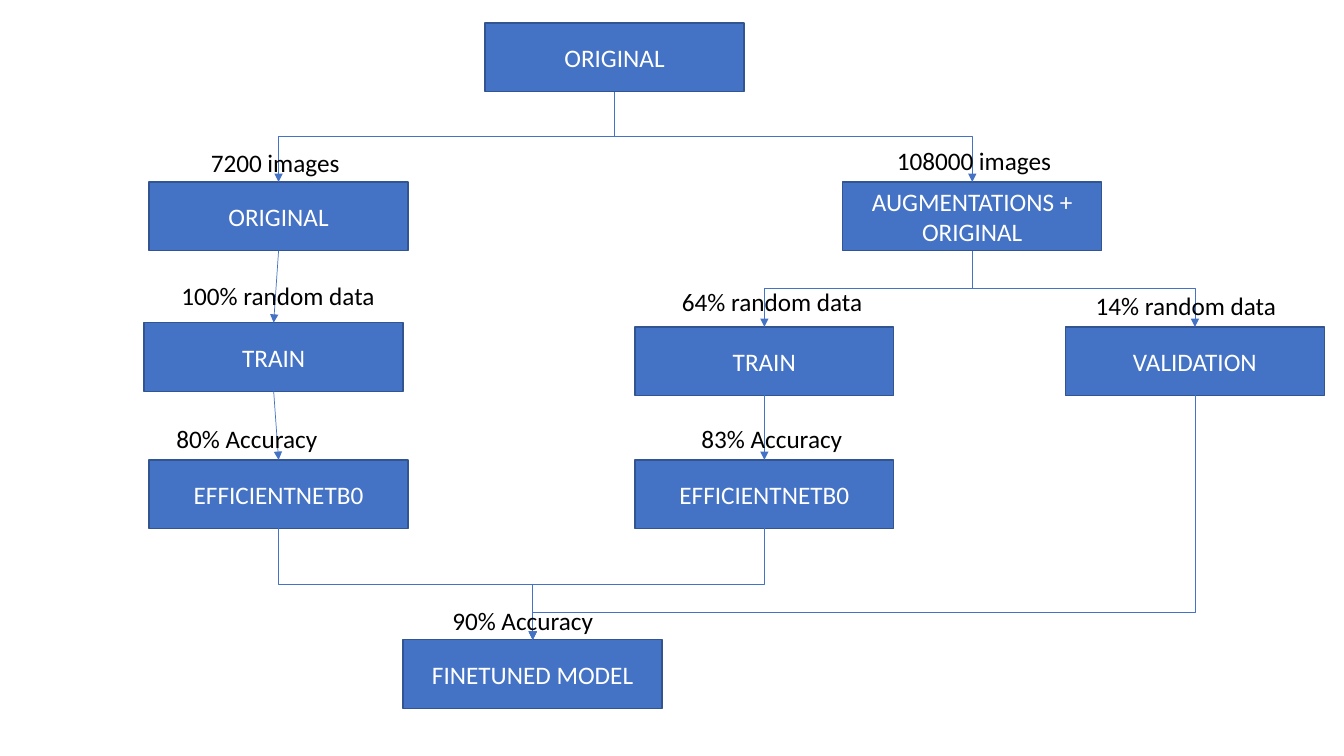
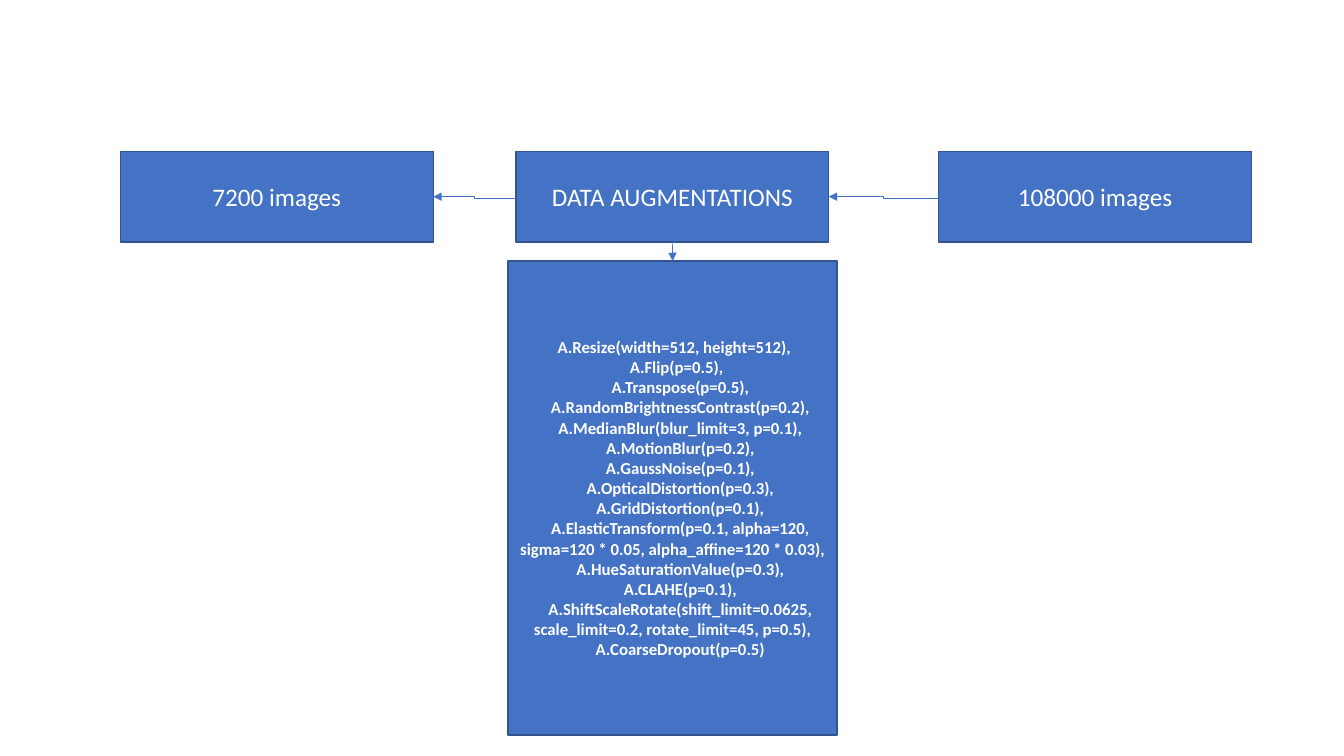
from lxml import etree
from pptx import Presentation
from pptx.dml.color import RGBColor
from pptx.enum.shapes import MSO_CONNECTOR as Kind, MSO_SHAPE as Form
from pptx.enum.text import MSO_ANCHOR as Anchor, MSO_AUTO_SIZE as Auto, PP_ALIGN as Align
from pptx.oxml.ns import qn
from pptx.util import Pt

BLUE, EDGE, WHITE, BLACK = "4472C4", "325491", "FFFFFF", "000000"
FONT = "Calibri"
TOP, LEFT, BOTTOM, RIGHT = range(4)
STEP = (185, 49)
STAGE = (223.5, 65)

STEPS = {
    "root": ("ORIGINAL", 346.5, 16.5),
    "plain": ("ORIGINAL", 106.5, 130),
    "mixed": ("AUGMENTATIONS + ORIGINAL", 602, 130),
    "train": ("TRAIN", 103, 230.5),
    "train mix": ("TRAIN", 453.5, 233.5),
    "check": ("VALIDATION", 761, 233.5),
    "net": ("EFFICIENTNETB0", 106.5, 328.5),
    "net mix": ("EFFICIENTNETB0", 453.5, 328.5),
    "final": ("FINETUNED MODEL", 288, 457),
}
BENDS = [
    ("root", "plain", 0.5),
    ("root", "mixed", 0.5),
    ("mixed", "train mix", 0.5),
    ("mixed", "check", 0.5),
    ("net", "final", 0.5),
    ("net mix", "final", 0.5),
    ("check", "final", 0.89),
]
DROPS = [("plain", "train"), ("train", "net"), ("train mix", "net mix")]
LABELS = [
    ("7200 images", 143.5, 102, 107),
    ("108000 images", 633.5, 100, 126),
    ("64% random data", 480, 201, 145),
    ("14% random data", 775.5, 203.5, 145),
    ("100% random data", 122.5, 197, 154),
    ("80% Accuracy", 119, 299, 116),
    ("83% Accuracy", 494, 299, 116),
    ("90% Accuracy", 316, 428.5, 116),
]
STAGES = [
    ("7200 images", 86),
    ("DATA AUGMENTATIONS", 368.5),
    ("108000 images", 670.5),
]
CALLS = [
    "A.Resize(width=512, height=512),",
    "A.Flip(p=0.5),",
    "A.Transpose(p=0.5),",
    "A.RandomBrightnessContrast(p=0.2),",
    "A.MedianBlur(blur_limit=3, p=0.1),",
    "A.MotionBlur(p=0.2),",
    "A.GaussNoise(p=0.1),",
    "A.OpticalDistortion(p=0.3),",
    "A.GridDistortion(p=0.1),",
    "A.ElasticTransform(p=0.1, alpha=120, sigma=120 * 0.05, alpha_affine=120 * 0.03),",
    "A.HueSaturationValue(p=0.3),",
    "A.CLAHE(p=0.1),",
    "A.ShiftScaleRotate(shift_limit=0.0625, scale_limit=0.2, rotate_limit=45, p=0.5),",
    "A.CoarseDropout(p=0.5)",
]
INDENTS = [2.5, 5.5] + [11] * (len(CALLS) - 2)


def color(code):
    return RGBColor.from_string(code)


def write(frame, lines, size=18, ink=WHITE, bold=False, align=Align.CENTER, indents=()):
    for i, line in enumerate(lines):
        para = frame.paragraphs[0] if i == 0 else frame.add_paragraph()
        para.alignment = align
        if indents:
            para._p.get_or_add_pPr().set("indent", str(Pt(indents[i])))
        run = para.add_run()
        run.text = line
        font = run.font
        font.name, font.size, font.bold = FONT, Pt(size), bold
        font.color.rgb = color(ink)


def box(slide, lines, x, y, area, **style):
    shape = slide.shapes.add_shape(Form.RECTANGLE, Pt(x), Pt(y), *map(Pt, area))
    shape.shadow.inherit = False
    shape.fill.solid()
    shape.fill.fore_color.rgb = color(BLUE)
    shape.line.color.rgb = color(EDGE)
    shape.line.width = Pt(1)
    frame = shape.text_frame
    frame.word_wrap = True
    frame.vertical_anchor = Anchor.MIDDLE
    write(frame, lines, **style)
    return shape


def label(slide, text, x, y, width):
    frame = slide.shapes.add_textbox(Pt(x), Pt(y), Pt(width), Pt(29)).text_frame
    frame.word_wrap = False
    frame.auto_size = Auto.SHAPE_TO_FIT_TEXT
    write(frame, [text], ink=BLACK, align=Align.LEFT)


def site(shape, side):
    x, y, w, h = shape.left, shape.top, shape.width, shape.height
    return [(x + w // 2, y), (x, y + h // 2), (x + w // 2, y + h), (x + w, y + h // 2)][side]


def arrow(slide, start, end, kind=Kind.STRAIGHT, sides=(BOTTOM, TOP), nudge=0):
    x, y = site(start, sides[0])
    line = slide.shapes.add_connector(kind, x, y + Pt(nudge), *site(end, sides[1]))
    if not nudge:
        line.begin_connect(start, sides[0])
        line.end_connect(end, sides[1])
    line.line.color.rgb = color(BLUE)
    line.line.width = Pt(0.5)
    etree.SubElement(line.line._get_or_add_ln(), qn("a:tailEnd"), type="triangle")
    etree.SubElement(line._element.spPr, qn("a:effectLst"))
    return line


def bend(slide, start, end, turn):
    line = arrow(slide, start, end, Kind.ELBOW)
    x, y, dx, dy = line.begin_x, line.begin_y, line.end_x - line.begin_x, line.end_y - line.begin_y
    line.width, line.height = dy, abs(dx)
    line.left = x + (dx - dy) // 2
    line.top = y + (dy - abs(dx)) // 2
    frame = line._element.spPr.find(qn("a:xfrm"))
    for name in ("flipH", "flipV"):
        frame.attrib.pop(name, None)
    frame.set("rot", str((270 if dx > 0 else 90) * 60000))
    if dx > 0:
        frame.set("flipH", "1")
    if turn != 0.5:
        geom = line._element.spPr.find(qn("a:prstGeom"))
        guides = geom.find(qn("a:avLst"))
        if guides is None:
            guides = etree.SubElement(geom, qn("a:avLst"))
        etree.SubElement(guides, qn("a:gd"), name="adj1", fmla=f"val {round(turn * 100000)}")


def flow(slide):
    steps = {key: box(slide, [text], x, y, STEP) for key, (text, x, y) in STEPS.items()}
    for start, end, turn in BENDS:
        bend(slide, steps[start], steps[end], turn)
    for start, end in DROPS:
        arrow(slide, steps[start], steps[end])
    for item in LABELS:
        label(slide, *item)


def detail(slide):
    small, core, large = [box(slide, [text], x, 108, STAGE) for text, x in STAGES]
    calls = box(slide, CALLS, 363, 186.5, (235, 338.5), size=12, bold=True, indents=INDENTS)
    for start, end in [(core, small), (large, core)]:
        arrow(slide, start, end, Kind.ELBOW, (LEFT, RIGHT), nudge=1)
    arrow(slide, core, calls)


def main():
    deck = Presentation()
    deck.slide_width, deck.slide_height = Pt(960), Pt(540)
    for draw in (flow, detail):
        draw(deck.slides.add_slide(deck.slide_layouts[6]))
    deck.save("out.pptx")


if __name__ == "__main__":
    main()
